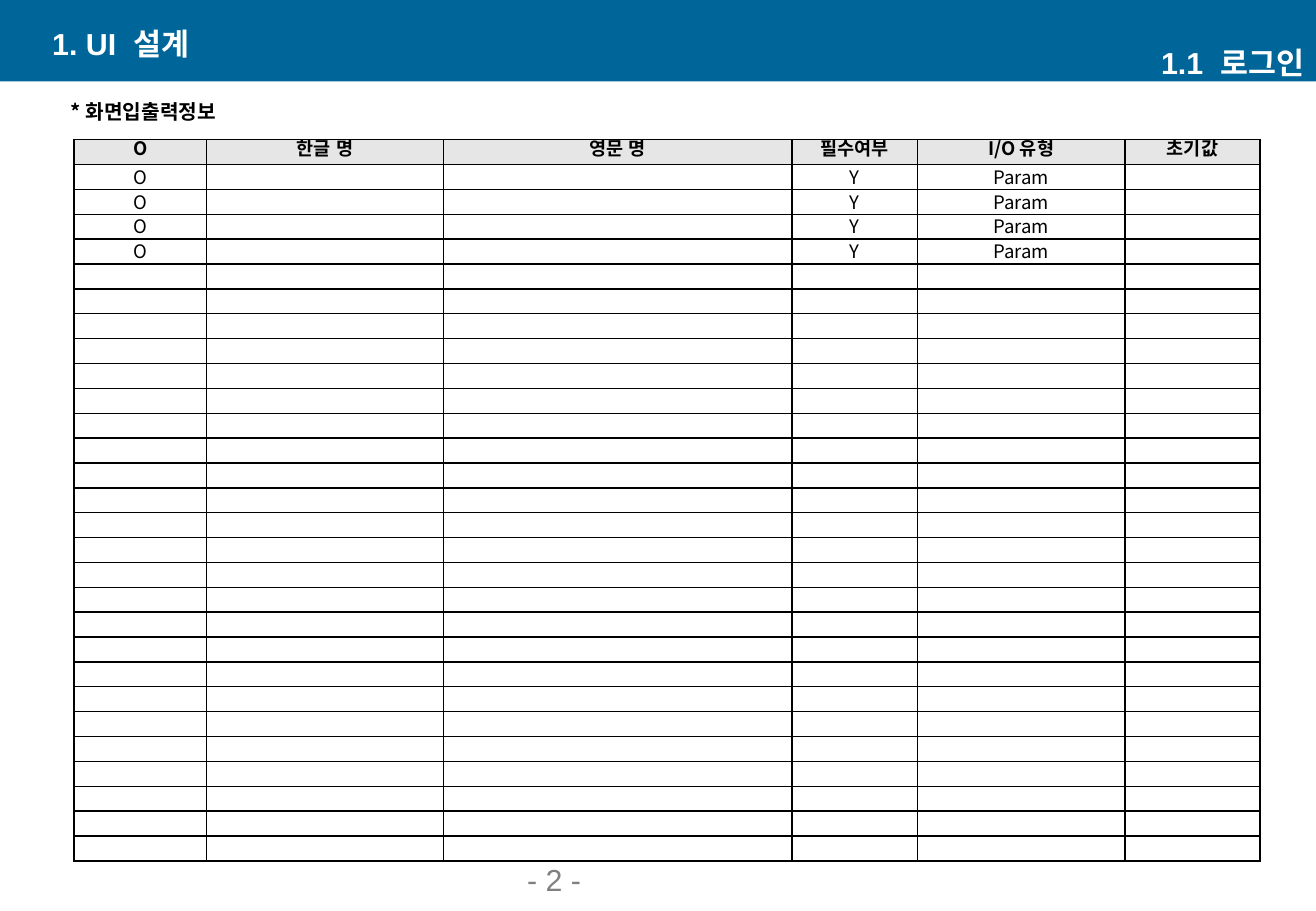
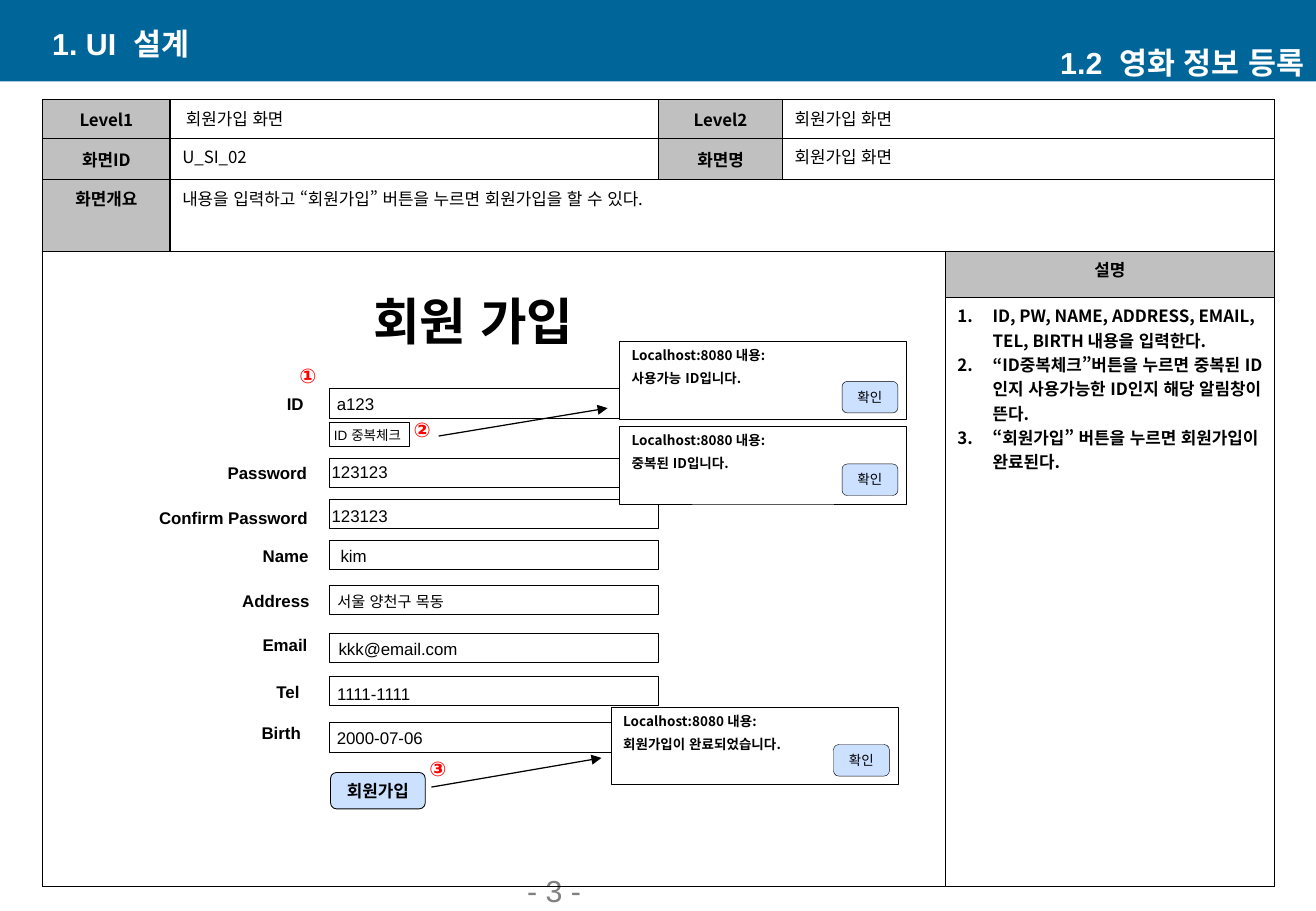
from dataclasses import dataclass
from typing import NamedTuple, Optional

from lxml import etree
from pptx import Presentation
from pptx import slide as sl
from pptx import table as tb
from pptx import util as u
from pptx.dml import color
from pptx.enum import lang, shapes, text
from pptx.oxml import ns
from pptx.shapes import autoshape
from pptx.text import text as tx

PX = 9144  # 100 px to the inch


def px(length: float) -> u.Emu:
    return u.Emu(round(length * PX))


# Theme
@dataclass(frozen=True)
class Theme:
    band: str = "006699"
    header: str = "E6E6E6"
    label: str = "C0C0C0"
    button: str = "CCE0FF"
    white: str = "FFFFFF"
    black: str = "000000"
    grey: str = "808080"
    red: str = "FF0000"
    latin: str = "Arial"
    korean: str = "Noto Sans CJK KR"
    heading: float = 18
    hero: float = 30
    note: float = 12
    grid: float = 11
    normal: float = 10
    field: float = 9
    small: float = 8


THEME = Theme()
LEFT, CENTER, RIGHT = text.PP_ALIGN.LEFT, text.PP_ALIGN.CENTER, text.PP_ALIGN.RIGHT
TOP, MIDDLE, BOTTOM = text.MSO_ANCHOR.TOP, text.MSO_ANCHOR.MIDDLE, text.MSO_ANCHOR.BOTTOM
RECT = shapes.MSO_SHAPE.RECTANGLE
ROUND = shapes.MSO_SHAPE.ROUNDED_RECTANGLE


class Box(NamedTuple):
    x: int
    y: int
    w: int
    h: int

    def emu(self) -> list[u.Emu]:
        return [px(length) for length in self]


@dataclass(frozen=True)
class Style:
    size: float
    color: str = THEME.black
    bold: bool = False
    font: str = THEME.latin
    align: text.PP_ALIGN = CENTER


HEADING = Style(THEME.heading, THEME.white, True, align=LEFT)
SECTION = Style(THEME.heading, THEME.white, True, align=RIGHT)
PAGE = Style(THEME.heading, THEME.grey, align=LEFT)
NOTE = Style(THEME.note, bold=True, font=THEME.korean)
GRID = Style(THEME.grid, font=THEME.korean)
GRID_HEAD = Style(THEME.grid, bold=True, font=THEME.korean)
INFO = Style(THEME.normal, font=THEME.korean, align=LEFT)
INFO_LABEL = Style(THEME.normal, bold=True, font=THEME.korean)
RULES = Style(THEME.normal, bold=True, font=THEME.korean, align=LEFT)
HERO = Style(THEME.hero, bold=True)
FIELD_LABEL = Style(THEME.normal, bold=True)
FIELD_VALUE = Style(THEME.normal)
FIELD_KOREAN = Style(THEME.field, font=THEME.korean)
CHECK = Style(THEME.small)
MARKER = Style(THEME.note, THEME.red, True)
ALERT = Style(THEME.small, bold=True, font=THEME.korean, align=LEFT)
CONFIRM = Style(THEME.small, font=THEME.korean)


# Shared helpers
def rgb(value: str) -> color.RGBColor:
    return color.RGBColor.from_string(value)


def write(frame: tx.TextFrame, wording: str, style: Style) -> None:
    frame.text = wording
    for paragraph in frame.paragraphs:
        paragraph.alignment = style.align
        for run in paragraph.runs:
            font = run.font
            font.size, font.bold, font.name = u.Pt(style.size), style.bold, style.font
            font.color.rgb = rgb(style.color)
            font.language_id = lang.MSO_LANGUAGE_ID.KOREAN
            east_asian = etree.SubElement(font._element, ns.qn("a:ea"))
            east_asian.set("typeface", THEME.korean)


def add_text(slide: sl.Slide, box: Box, wording: str, style: Style,
             anchor: text.MSO_ANCHOR = MIDDLE) -> None:
    frame = slide.shapes.add_textbox(*box.emu()).text_frame
    frame.word_wrap, frame.vertical_anchor = True, anchor
    write(frame, wording, style)


def add_tag(slide: sl.Slide, box: Box, wording: str, style: Style) -> None:
    frame = slide.shapes.add_textbox(*box.emu()).text_frame
    frame.word_wrap, frame.auto_size = False, text.MSO_AUTO_SIZE.SHAPE_TO_FIT_TEXT
    write(frame, wording, style)


def add_panel(slide: sl.Slide, kind: shapes.MSO_SHAPE, box: Box, fill: Optional[str] = None,
              line: float = 0) -> autoshape.Shape:
    panel = slide.shapes.add_shape(kind, *box.emu())
    panel.shadow.inherit = False
    if fill:
        panel.fill.solid()
        panel.fill.fore_color.rgb = rgb(fill)
    else:
        panel.fill.background()
    if line:
        panel.line.color.rgb = rgb(THEME.black)
        panel.line.width = u.Pt(line)
    else:
        panel.line.fill.background()
    panel.text_frame.vertical_anchor = TOP
    return panel


def add_arrow(slide: sl.Slide, x1: int, y1: int, x2: int, y2: int) -> None:
    arrow = slide.shapes.add_connector(shapes.MSO_CONNECTOR.STRAIGHT, *map(px, (x1, y1, x2, y2)))
    arrow.line.color.rgb = rgb(THEME.black)
    arrow.line.width = u.Pt(0.75)
    etree.SubElement(arrow.line._get_or_add_ln(), ns.qn("a:tailEnd")).set("type", "triangle")
    etree.SubElement(arrow._element.spPr, ns.qn("a:effectLst"))


def add_page(deck, section: str, number: int, page_box: Box) -> sl.Slide:
    slide = deck.slides.add_slide(deck.slide_layouts[5])
    title = slide.shapes.title
    title.left, title.top, title.width, title.height = Box(33, 19, 438, 33).emu()
    title.text_frame.vertical_anchor = MIDDLE
    title.text_frame.auto_size = text.MSO_AUTO_SIZE.NONE
    write(title.text_frame, "1. UI  설계", HEADING)
    add_text(slide, Box(645, 35, 438, 33), section, SECTION)
    add_text(slide, page_box, f"- {number} -", PAGE, BOTTOM)
    return slide


# Tables
def add_grid(slide: sl.Slide, x: int, y: int, columns: list[int], rows: list[float]) -> tb.Table:
    frame = slide.shapes.add_table(len(rows), len(columns), px(x), px(y),
                                   px(sum(columns)), px(sum(rows)))
    table = frame.table
    table.first_row = table.horz_banding = False
    for column, width in zip(table.columns, columns):
        column.width = px(width)
    for row, height in zip(table.rows, rows):
        row.height = px(height)
    for cell in table.iter_cells():
        cell.fill.background()
        cell.margin_top = cell.margin_bottom = 0
        # Empty cells need a small type size to keep the row height
        end = etree.SubElement(cell.text_frame.paragraphs[0]._p, ns.qn("a:endParaRPr"))
        end.set("sz", str(round(THEME.small * 100)))
        for place, side in enumerate(("lnL", "lnR", "lnT", "lnB")):
            border = etree.Element(ns.qn(f"a:{side}"), w=str(u.Pt(1)))
            paint = etree.SubElement(border, ns.qn("a:solidFill"))
            etree.SubElement(paint, ns.qn("a:srgbClr")).set("val", THEME.black)
            cell._tc.get_or_add_tcPr().insert(place, border)
    return table


def fill_cell(cell: tb._Cell, wording: str, style: Style, fill: Optional[str] = None,
              anchor: text.MSO_ANCHOR = MIDDLE, margin: int = 5, left: int = 10,
              line: Optional[float] = None) -> None:
    write(cell.text_frame, wording, style)
    if line:
        cell.text_frame.paragraphs[0].line_spacing = u.Pt(line)
    cell.vertical_anchor = anchor
    cell.margin_top = cell.margin_bottom = px(margin)
    cell.margin_left, cell.margin_right = px(left), px(10)
    if fill:
        cell.fill.solid()
        cell.fill.fore_color.rgb = rgb(fill)


def number_list(frame: tx.TextFrame) -> None:
    for paragraph in frame.paragraphs:
        properties = paragraph._p.get_or_add_pPr()
        properties.set("marL", str(px(29)))
        properties.set("indent", str(-px(29)))
        etree.SubElement(properties, ns.qn("a:buAutoNum")).set("type", "arabicPeriod")


# Slide 1: input and output items
IO_HEADS = ("O", "한글 명", "영문 명", "필수여부", "I/O 유형", "초기값")
IO_ROW = ("O", "", "", "Y", "Param", "")
IO_ROW_COUNT, IO_FILLED = 29, 4


def build_io_slide(deck) -> None:
    slide = add_page(deck, "1.1  로그인", 2, Box(424, 713, 226, 31))
    table = add_grid(slide, 61, 115, [109, 195, 287, 103, 171, 111],
                     [594 / IO_ROW_COUNT] * IO_ROW_COUNT)
    for column, head in enumerate(IO_HEADS):
        fill_cell(table.cell(0, column), head, GRID_HEAD, THEME.header, TOP, 0, line=12.5)
        for row in range(1, IO_FILLED + 1):
            if IO_ROW[column]:
                fill_cell(table.cell(row, column), IO_ROW[column], GRID, None, BOTTOM, 0, line=14.5)
    add_tag(slide, Box(42, 77, 152, 30), "* 화면입출력정보", NOTE)


# Slide 2: sign-up screen
@dataclass(frozen=True)
class Field:
    top: int
    label: str
    label_box: Box
    value: str
    value_box: Box
    style: Style = FIELD_VALUE


@dataclass(frozen=True)
class Alert:
    x: int
    y: int
    message: str
    button_drop: int


FIELDS = (
    Field(320, "ID", Box(226, 319, 34, 27), "a123", Box(267, 319, 51, 27)),
    Field(377, "Password", Box(177, 376, 86, 27), "123123", Box(263, 375, 66, 27)),
    Field(411, "Confirm Password", Box(120, 413, 144, 27), "123123", Box(263, 411, 66, 27)),
    Field(445, "Name", Box(206, 444, 58, 27), "kim", Box(270, 444, 42, 27)),
    Field(482, "Address", Box(189, 481, 76, 27), "서울 양천구 목동",
          Box(263, 483, 117, 25), FIELD_KOREAN),
    Field(521, "Email", Box(206, 518, 57, 27), "kkk@email.com", Box(265, 521, 125, 27)),
    Field(557, "Tel", Box(217, 556, 40, 27), "1111-1111", Box(264, 558, 87, 27)),
    Field(595, "Birth", Box(205, 590, 53, 27), "2000-07-06", Box(267, 594, 91, 27)),
)
ALERTS = (
    Alert(510, 281, "사용가능 ID입니다.", 33),
    Alert(510, 351, "중복된 ID입니다.", 31),
    Alert(503, 582, "회원가입이 완료되었습니다.", 31),
)
MARKERS = (("①", 235, 294), ("②", 329, 339), ("③", 342, 618))
INFO_LABELS = (("Level1", 0, 0), ("Level2", 0, 2), ("화면ID", 1, 0), ("화면명", 1, 2))
INFO_VALUES = (
    ("회원가입 화면", 0, 1, 13),
    ("회원가입 화면", 0, 3, 10),
    ("U_SI_02", 1, 1, 10),
    ("회원가입 화면", 1, 3, 10),
    ("내용을 입력하고 “회원가입” 버튼을 누르면 회원가입을 할 수 있다.", 2, 1, 10),
)
INFO_SPANS = ((0, 3, 0, 4), (1, 3, 1, 4), (2, 1, 2, 4), (3, 0, 4, 3))
STEPS = (
    "ID, PW, NAME, ADDRESS, EMAIL, TEL, BIRTH 내용을 입력한다.",
    "“ID중복체크”버튼을 누르면 중복된 ID인지 사용가능한 ID인지 해당 알림창이 뜬다.",
    "“회원가입” 버튼을 누르면 회원가입이 완료된다.",
)


def add_info_table(slide: sl.Slide) -> None:
    table = add_grid(slide, 35, 82, [105, 402, 102, 134, 271], [32, 34, 59, 38, 485])
    for top, left, bottom, right in INFO_SPANS:
        table.cell(top, left).merge(table.cell(bottom, right))
    for label, row, column in INFO_LABELS:
        fill_cell(table.cell(row, column), label, INFO_LABEL, THEME.label)
    for label, row, column in (("화면개요", 2, 0), ("설명", 3, 4)):
        fill_cell(table.cell(row, column), label, INFO_LABEL, THEME.label, TOP)
    for value, row, column, left in INFO_VALUES:
        fill_cell(table.cell(row, column), value, INFO, anchor=TOP, left=left)
    steps = table.cell(4, 4)
    fill_cell(steps, "\n".join(STEPS), RULES, anchor=TOP)
    number_list(steps.text_frame)


def add_alert(slide: sl.Slide, alert: Alert) -> None:
    dialog = add_panel(slide, RECT, Box(alert.x, alert.y, 236, 64), THEME.white, 0.25)
    write(dialog.text_frame, f"Localhost:8080 내용:\n{alert.message}", ALERT)
    dialog.text_frame.paragraphs[1].line_spacing = u.Pt(13.6)
    confirm = add_panel(slide, ROUND, Box(alert.x + 183, alert.y + alert.button_drop, 46, 26),
                        THEME.button, 0.25)
    write(confirm.text_frame, "확인", CONFIRM)


def build_signup_slide(deck) -> None:
    slide = add_page(deck, "1.2  영화 정보 등록", 3, Box(424, 730, 226, 23))
    add_info_table(slide)
    add_tag(slide, Box(291, 234, 197, 61), "회원 가입", HERO)
    for field in FIELDS:
        add_panel(slide, RECT, Box(271, field.top, 271, 24), line=0.25)
        add_tag(slide, field.label_box, field.label, FIELD_LABEL)
        add_tag(slide, field.value_box, field.value, field.style)
    add_panel(slide, RECT, Box(271, 348, 66, 20), line=0.5)
    add_tag(slide, Box(263, 347, 79, 24), "ID 중복체크", CHECK)
    join = add_panel(slide, ROUND, Box(272, 636, 78, 30), THEME.button, 0.5)
    join.text_frame.word_wrap = False
    write(join.text_frame, "회원가입", FIELD_LABEL)
    for alert in ALERTS:
        add_alert(slide, alert)
    add_arrow(slide, 361, 359, 500, 336)
    add_arrow(slide, 355, 648, 495, 624)
    for marker, x, y in MARKERS:
        add_tag(slide, Box(x, y, 37, 30), marker, MARKER)


def main() -> None:
    deck = Presentation()
    deck.slide_width, deck.slide_height = px(1083), px(750)
    build_io_slide(deck)
    build_signup_slide(deck)
    # The band belongs to the layout, behind everything on each slide
    band = add_panel(deck.slides[0], RECT, Box(0, 0, 1083, 67), THEME.band)
    deck.slide_layouts[5].shapes.element.insert(2, band.element)
    deck.save("out.pptx")


if __name__ == "__main__":
    main()
